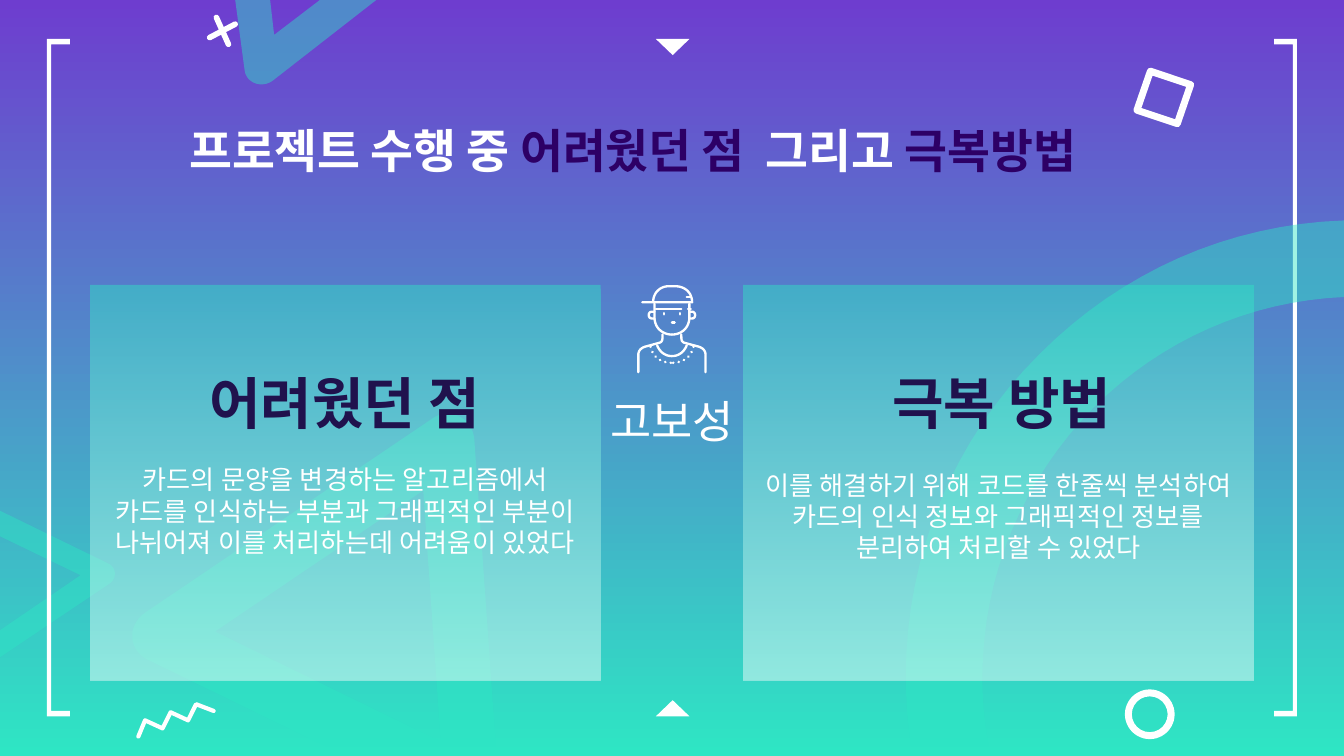
from lxml import etree
from pptx import Presentation
from pptx.dml.color import RGBColor
from pptx.enum.dml import MSO_LINE
from pptx.enum.shapes import MSO_SHAPE
from pptx.enum.text import MSO_ANCHOR, PP_ALIGN
from pptx.oxml.ns import qn
from pptx.util import Inches, Pt

TRIANGLE, DONUT, PANEL = MSO_SHAPE.ISOSCELES_TRIANGLE, MSO_SHAPE.DONUT, MSO_SHAPE.ROUNDED_RECTANGLE
TOP, BOTTOM = MSO_ANCHOR.TOP, MSO_ANCHOR.BOTTOM
LEFT, CENTER = PP_ALIGN.LEFT, PP_ALIGN.CENTER
DOTTED = MSO_LINE.ROUND_DOT

WIDTH = 10
HEIGHT = WIDTH * 9 / 16
WHITE, MINT, VIOLET, INDIGO, NAVY = "FFFFFF", "2EE6C4", "6E3DCF", "2D0066", "20124D"
VEIL = 45  # opacity of the translucent parts, percent


def rgb(value):
    return RGBColor.from_string(value)


def mirror(contour):
    """Reflect a contour about the vertical centre line of the slide."""
    return [tuple(WIDTH - v if i % 2 == 0 else v for i, v in enumerate(seg))
            for seg in contour]


def both(*contours):
    return [*contours, *map(mirror, contours)]


def flatten(contour, steps=16):
    """Pairs are corners; six values are two Bezier controls and an end."""
    points = []
    for seg in contour:
        if len(seg) == 2:
            points.append(seg)
            continue
        knots = [points[-1], seg[:2], seg[2:4], seg[4:]]
        for n in range(1, steps + 1):
            t = n / steps
            weights = ((1 - t) ** 3, 3 * t * (1 - t) ** 2, 3 * t * t * (1 - t), t ** 3)
            points.append(tuple(sum(w * k[i] for w, k in zip(weights, knots))
                                for i in (0, 1)))
    return [(Inches(x), Inches(y)) for x, y in points]


class Deck:
    """Holds the text style and the current slide."""

    def __init__(self, prs):
        self.s = prs.slides.add_slide(prs.slide_layouts[6])
        self.style = {"name": "Calibri", "size": Pt(24), "bold": False}

    def set_alpha(self, sp, opacity):
        for color in sp.element.spPr.iter(qn("a:srgbClr")):
            etree.SubElement(color, qn("a:alpha"), val=str(opacity * 1000))

    def gradient(self, fill, start, end):
        fill.gradient()
        fill.gradient_angle = 270
        for stop, color, position in zip(fill.gradient_stops, (start, end), (0, 1)):
            stop.color.rgb = rgb(color)
            stop.position = position

    def shape(self, kind, x, y, w, h, color=WHITE, adj=None, rotation=0):
        sp = self.s.shapes.add_shape(kind, Inches(x), Inches(y), Inches(w), Inches(h))
        sp.shadow.inherit = False
        sp.line.fill.background()
        sp.fill.solid()
        sp.fill.fore_color.rgb = rgb(color)
        sp.rotation = rotation
        if adj is not None:
            sp.adjustments[0] = adj
        return sp

    def panel(self, x, y, w, h):
        sp = self.shape(PANEL, x, y, w, h, adj=0)
        self.gradient(sp.fill, MINT, WHITE)
        self.set_alpha(sp, VEIL)

    def freeform(self, contours, close):
        first, *rest = map(flatten, contours)
        builder = self.s.shapes.build_freeform(*first[0])
        builder.add_line_segments(first[1:], close=close)
        for points in rest:
            builder.move_to(*points[0])
            builder.add_line_segments(points[1:], close=close)
        sp = builder.convert_to_shape()
        sp.shadow.inherit = False
        return sp

    def area(self, *contours, color=WHITE, opacity=None):
        sp = self.freeform(contours, True)
        sp.line.fill.background()
        sp.fill.solid()
        sp.fill.fore_color.rgb = rgb(color)
        if opacity:
            self.set_alpha(sp, opacity)

    def stroke(self, *contours, width, close=False, dash=None):
        sp = self.freeform(contours, close)
        sp.fill.background()
        sp.line.color.rgb = rgb(WHITE)
        sp.line.width = Pt(width)
        if dash:
            sp.line.dash_style = dash
        ln = sp.element.spPr.get_or_add_ln()
        ln.set("cap", "rnd")
        etree.SubElement(ln, qn("a:round"))

    def text(self, x, y, w, h, runs, align=CENTER, anchor=TOP, inset=0.1, side=0.1,
             after=16, **fmt):
        tf = self.s.shapes.add_textbox(Inches(x), Inches(y), Inches(w), Inches(h)).text_frame
        frame = {"word_wrap": True, "vertical_anchor": anchor,
                 "margin_left": Inches(side), "margin_right": Inches(side),
                 "margin_top": Inches(inset), "margin_bottom": Inches(inset)}
        for key, value in frame.items():
            setattr(tf, key, value)
        p = tf.paragraphs[0]
        p.alignment, p.space_after = align, Pt(after)
        style = {**self.style, **fmt}
        for words, color in runs:
            r = p.add_run()
            r.text = words
            for key, value in style.items():
                setattr(r.font, key, value)
            r.font.color.rgb = rgb(color)
            # Hangul takes the East Asian typeface
            latin = r.font._element.find(qn("a:latin"))
            latin.addnext(etree.Element(qn("a:ea"), typeface=style["name"]))


def main():
    prs = Presentation()
    prs.slide_width, prs.slide_height = Inches(WIDTH), Inches(HEIGHT)
    deck = Deck(prs)
    deck.gradient(deck.s.background.fill, VIOLET, MINT)

    # Left arrow, edge markers and brackets
    veil = {"color": MINT, "opacity": VEIL}
    deck.area([(0, 4.89), (0, 4.69), (0.6, 4.28), (0, 3.99), (0, 3.8), (0.8, 4.19),
               (0.87, 4.22, 0.87, 4.3, 0.82, 4.34)], **veil)
    for y, rotation in ((0.29, 180), (5.21, 0)):
        deck.shape(TRIANGLE, 4.88, y, 0.25, 0.12, rotation=rotation)
    bracket = [(0.35, 0.29), (0.35, 5.33), (0.52, 5.33), (0.52, 5.29),
               (0.38, 5.29), (0.38, 0.33), (0.52, 0.33), (0.52, 0.29)]
    for contour in both(bracket):
        deck.area(contour)

    # Small ornaments: tilted square, cross, zigzag, ring
    deck.stroke([(8.56, 0.53), (8.86, 0.63), (8.76, 0.92), (8.46, 0.82)], width=3.75, close=True)
    deck.stroke([(1.61, 0.13), (1.7, 0.33)], [(1.56, 0.28), (1.75, 0.18)], width=3)
    deck.stroke([(1.03, 5.48), (1.08, 5.36), (1.21, 5.42), (1.27, 5.3),
                 (1.4, 5.36), (1.46, 5.24), (1.59, 5.29)], width=2.25)
    deck.shape(DONUT, 8.37, 5.13, 0.37, 0.37, adj=0.14)

    # Large translucent arc, triangle and corner
    deck.area([(10, 1.64), (9.14, 1.67, 8.35, 2.02, 7.74, 2.63),
               (7.09, 3.27, 6.74, 4.13, 6.74, 5.04), (6.74, 5.24, 6.76, 5.43, 6.79, 5.62),
               (7.37, 5.62), (7.33, 5.43, 7.31, 5.24, 7.31, 5.04),
               (7.31, 4.28, 7.61, 3.57, 8.14, 3.03), (8.64, 2.53, 9.3, 2.24, 10, 2.21)], **veil)
    deck.area([(3.15, 3.65), (1.6, 4.7), (3.28, 5.52)],
              [(3.33, 3.08), (3.44, 3.08, 3.52, 3.16, 3.53, 3.27), (3.71, 5.84),
               (3.71, 5.87, 3.71, 5.91, 3.7, 5.94), (3.22, 5.94), (1.1, 4.91),
               (0.96, 4.84, 0.94, 4.66, 1.08, 4.56), (3.21, 3.12),
               (3.25, 3.09, 3.29, 3.08, 3.33, 3.08)], **veil)
    deck.area([(2.8, 0), (2.03, 0.6), (1.95, 0.66, 1.83, 0.62, 1.82, 0.52),
               (1.75, 0), (2.01, 0), (2.04, 0.26), (2.38, 0)], **veil)

    # Panels and headings
    panel_x = (0.67, 5.53)
    for x in panel_x:
        deck.panel(x, 2.12, 3.8, 2.94)
    deck.text(1.31, 0.81, 7.38, 0.54,
              [("프로젝트 수행 중 ", WHITE), ("어려웠던 점  ", INDIGO),
               ("그리고 ", WHITE), ("극복방법", INDIGO)],
              align=LEFT, after=0, size=Pt(25), bold=True)
    for x, heading in zip((0.8, 5.69), ("어려웠던 점", "극복 방법")):
        deck.text(x, 2.39, 3.53, 0.85, [(heading, NAVY)],
                  anchor=BOTTOM, inset=0, size=Pt(30), bold=True)
    deck.text(3.15, 2.89, 3.7, 0.57, [("고보성", WHITE)], inset=0.04)

    # Person icon: cap, face, ears, shoulders, neckline
    cap = [(4.86, 2.25), (4.86, 2.18, 4.91, 2.13, 4.98, 2.13), (5.02, 2.13),
           (5.1, 2.13, 5.15, 2.18, 5.15, 2.25), (4.78, 2.25)]
    bands = [[(4.88, 2.3), (5.07, 2.3)], [(5.12, 2.3), (5.14, 2.3)], [(5.11, 2.21), (5.14, 2.21)]]
    half_face = [(4.87, 2.26), (4.87, 2.36), (4.87, 2.44, 4.93, 2.49, 5, 2.49)]
    ear = [(4.87, 2.32), (4.85, 2.32), (4.82, 2.32, 4.82, 2.37, 4.85, 2.37), (4.87, 2.37)]
    shoulder = [(4.75, 2.77), (4.75, 2.64), (4.75, 2.61, 4.77, 2.59, 4.8, 2.58),
                (4.91, 2.55), (4.93, 2.54, 4.93, 2.53, 4.93, 2.49)]
    neckline = [(4.89, 2.57), (4.91, 2.62, 4.95, 2.65, 5, 2.65)]
    eye = [(4.94, 2.33), (4.94, 2.34)]
    mouth = [(5, 2.4), (5.02, 2.4)]
    deck.stroke(cap, *bands, mouth, *both(half_face, ear, shoulder, neckline, eye), width=1.25)
    deck.stroke(*both([(4.84, 2.58), (4.86, 2.66, 4.92, 2.7, 5, 2.7)]), width=1.5, dash=DOTTED)

    # Body text
    bodies = (
        (3.35, 1.49, "카드의 문양을 변경하는 알고리즘에서 카드를 인식하는 부분과 "
                     "그래픽적인 부분이 나뉘어져 이를 처리하는데 어려움이 있었다"),
        (3.39, 1.43, "이를 해결하기 위해 코드를 한줄씩 분석하여 카드의 인식 정보와 "
                     "그래픽적인 정보를 분리하여 처리할 수 있었다"),
    )
    for x, (y, h, body) in zip(panel_x, bodies):
        deck.text(x, y, 3.8, h, [(body, WHITE)], side=0.13, name="Karla", size=Pt(14))

    prs.save("out.pptx")


if __name__ == "__main__":
    main()
